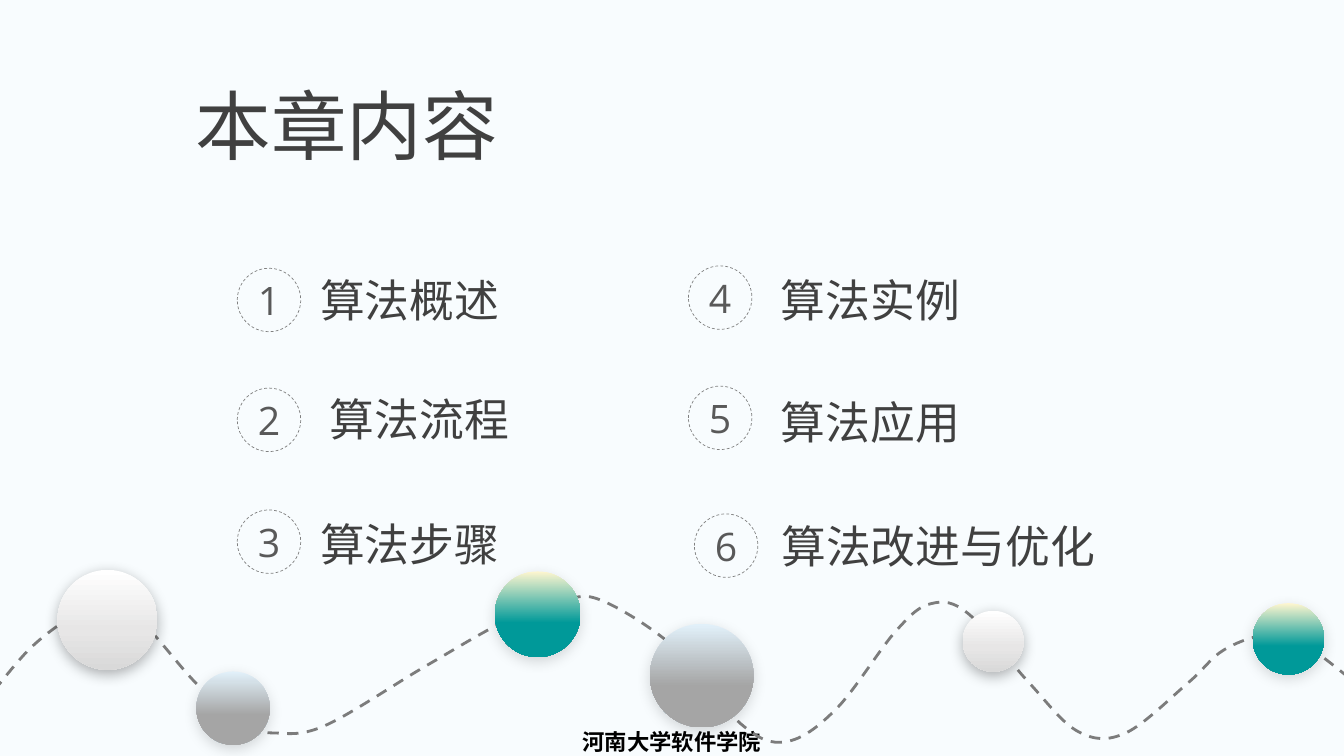
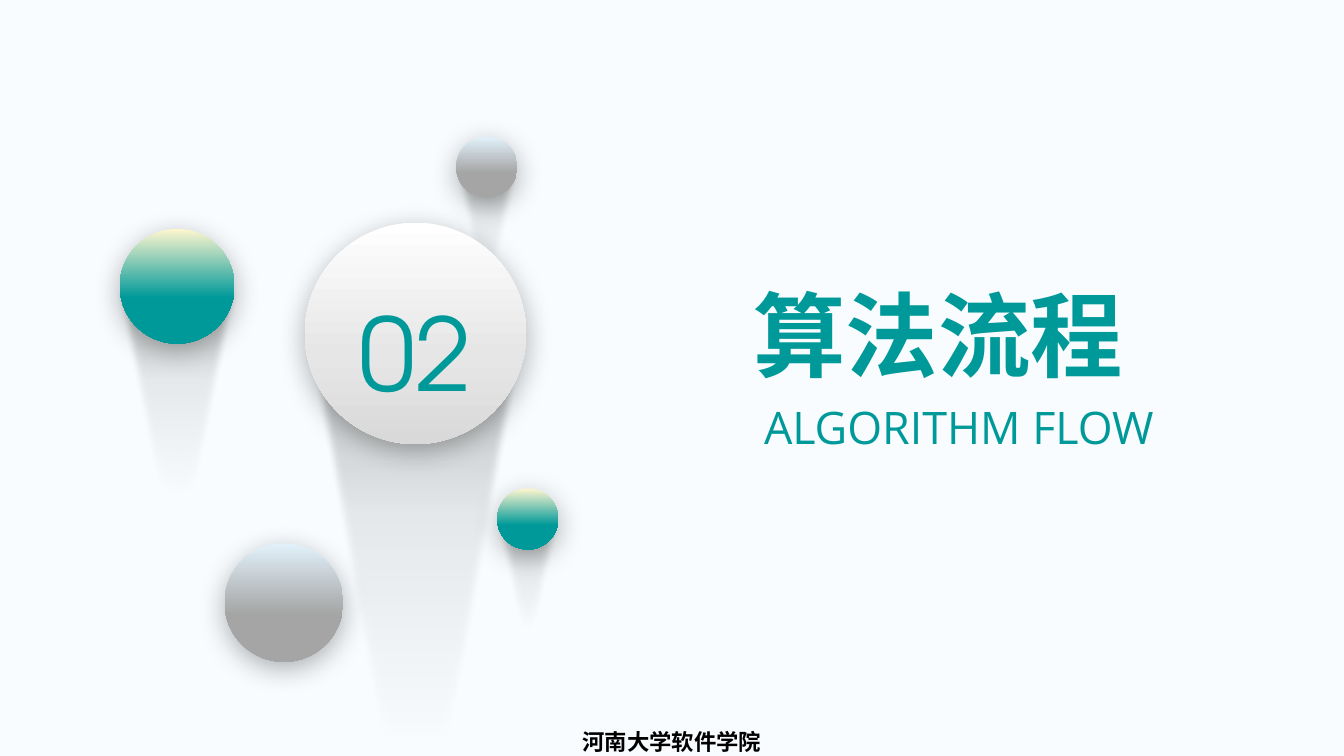
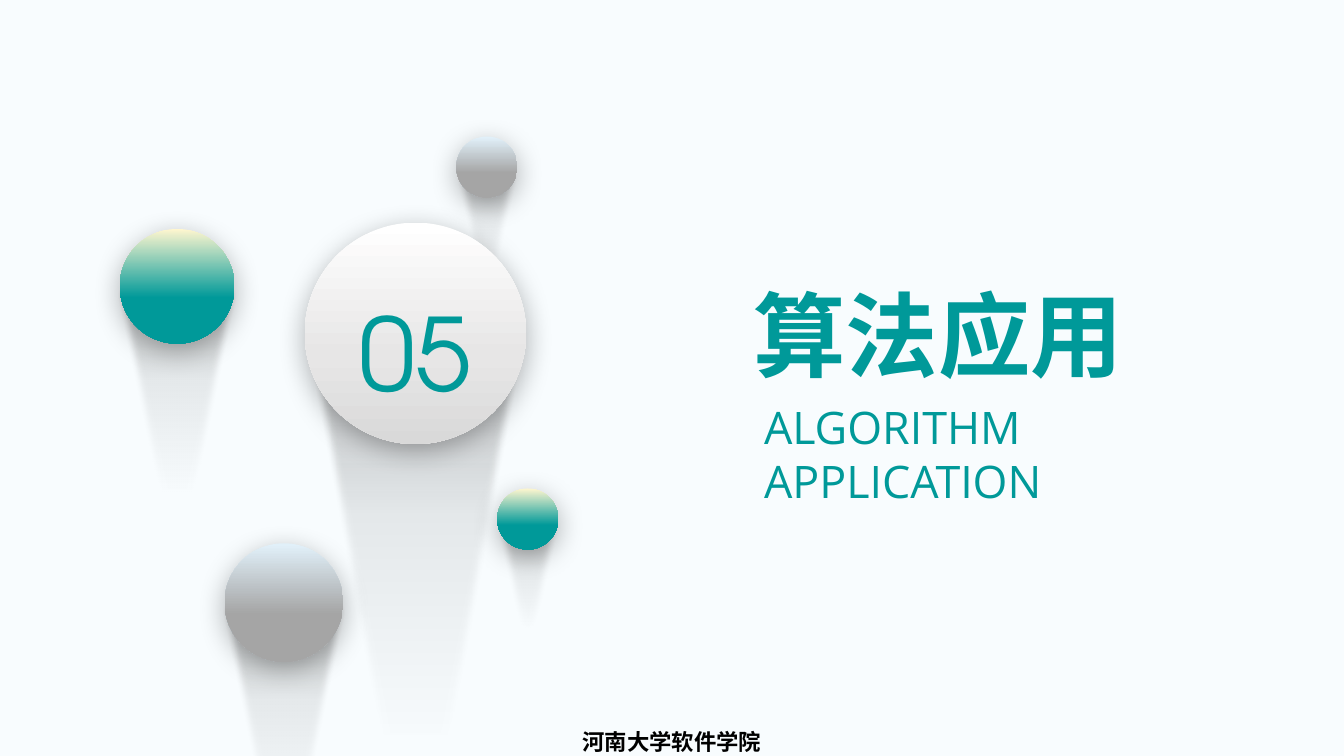
from lxml import etree
from pptx import Presentation
from pptx import util as u
from pptx.dml.color import RGBColor
from pptx.enum import dml, shapes, text
from pptx.oxml import ns

COLORS = {
    "page": "F8FCFE",
    "teal": "009999",
    "heading": "404040",
    "number": "595959",
    "ring": "808080",
    "wave": "7C7C7C",
    "black": "000000",
}
BODY_FONT = "Open Sans"
NUMBER_FONT = "TeX Gyre Adventor"
FOOTER_FONT = "DejaVu Sans"

BALL_STOPS = {
    "white": [(0, "FFFFFF", 100), (60, "E7E6E6", 100), (100, "D9D9D9", 100)],
    "gray": [(1, "E1F0F9", 100), (60, "A5A5A5", 100), (100, "A5A5A5", 100)],
    "teal": [(0, "FFF6CF", 100), (60, "009999", 100), (100, "009999", 100)],
}
TAIL_STOPS = [(30, "000000", 0), (50, "000000", 4), (70, "000000", 8), (100, "262626", 30)]
TAIL_OUTLINE = [(1, 1), (0.83, 0.67), (0.54, 0), (0.5, 0), (0.46, 0), (0.17, 0.67), (0, 1)]

WAVE_POINTS = [
    (-0.15, 17.4), (0.74, 16.36), (1.63, 15.65), (2.34, 15.29), (3.18, 15.39),
    (3.78, 15.88), (4.85, 17.12), (5.69, 17.91), (6.25, 18.29), (6.88, 18.47),
    (8.18, 18.29), (10.72, 16.79), (12.7, 15.67), (14.07, 15.19), (15.11, 15.11),
    (17.02, 16.33), (18.67, 18.24), (19.81, 18.69), (21.08, 17.86), (22.58, 15.9),
    (23.47, 15.21), (24.41, 15.47), (25.93, 17.2), (27.18, 18.44), (28.37, 18.47),
    (29.95, 17.2), (30.84, 16.38), (31.95, 16), (32.89, 16.26), (34.09, 17.15),
]
WAVE_BALLS = [
    ("white", 1.45, 14.36, 2.52, 30),
    ("gray", 4.95, 16.92, 1.85, 15),
    ("teal", 12.47, 14.4, 2.16, 15),
    ("gray", 16.38, 15.72, 2.61, 15),
    ("white", 24.26, 15.39, 1.54, 30),
    ("teal", 31.57, 15.2, 1.8, 15),
]
CHAPTERS = [
    ("算法概述", (5.98, 6.76), (7.82, 6.75), 5.08),
    ("算法流程", (5.98, 9.78), (8.06, 9.75), 5.08),
    ("算法步骤", (5.98, 12.85), (7.82, 12.9), 5.08),
    ("算法实例", (17.35, 6.7), (19.43, 6.75), 5.08),
    ("算法应用", (17.35, 9.73), (19.43, 9.82), 5.08),
    ("算法改进与优化", (17.5, 12.95), (19.44, 12.95), 8.48),
]
GRAY_BALL = (5.66, 13.69)
SECTION_BALLS = [
    ("gray", 11.5, 3.44, 1.54, (1.73, 4.22)),
    ("white", 7.68, 5.61, 5.58, (5.64, 15.09)),
    ("gray", *GRAY_BALL, 2.99, (3.32, 8.13)),
    ("teal", 12.53, 12.31, 1.54, (1.73, 4.22)),
    ("teal", 3.02, 5.77, 2.89, (3.2, 7.85)),
]


def rgb(name):
    return RGBColor.from_string(COLORS[name])


def write(shape, words, size, color, font=BODY_FONT, bold=False,
          align=text.PP_ALIGN.LEFT, anchor=text.MSO_ANCHOR.TOP, wrap=True, grow=False):
    frame = shape.text_frame
    frame.text = words
    frame.word_wrap = wrap
    frame.vertical_anchor = anchor
    if grow:
        frame.auto_size = text.MSO_AUTO_SIZE.SHAPE_TO_FIT_TEXT
    para = frame.paragraphs[0]
    para.alignment = align
    para.space_before = u.Pt(0)
    for span in para.runs:
        span.font.size = u.Pt(size)
        span.font.name = font
        span.font.bold = bold
        span.font.color.rgb = rgb(color)
        east_asian = etree.SubElement(span.font._element, ns.qn("a:ea"))
        east_asian.set("typeface", font)
    return para


def place(shape, left, top, width, height):
    shape.left, shape.top = u.Cm(left), u.Cm(top)
    shape.width, shape.height = u.Cm(width), u.Cm(height)


def fill_downward(shape, stops):
    shape.fill.gradient()
    shape.fill.gradient_angle = 270
    stop_list = shape.element.spPr.find(".//" + ns.qn("a:gsLst"))
    for stop in list(stop_list):
        stop_list.remove(stop)
    for position, color, opacity in stops:
        stop = etree.SubElement(stop_list, ns.qn("a:gs"), pos=str(position * 1000))
        tint = etree.SubElement(stop, ns.qn("a:srgbClr"), val=color)
        if opacity < 100:
            etree.SubElement(tint, ns.qn("a:alpha"), val=str(opacity * 1000))


def add_effect(shape, tag, **settings):
    shape.shadow.inherit = False
    effects = shape.element.spPr.find(ns.qn("a:effectLst"))
    return etree.SubElement(effects, ns.qn(tag), **settings)


def add_ball(page, kind, left, top, size, opacity, blur, distance):
    ball = page.shapes.add_shape(
        shapes.MSO_SHAPE.OVAL, u.Cm(left), u.Cm(top), u.Cm(size), u.Cm(size))
    fill_downward(ball, BALL_STOPS[kind])
    ball.line.fill.background()
    shadow = add_effect(ball, "a:outerShdw", blurRad=str(u.Pt(blur)),
                        dist=str(u.Pt(distance)), dir="5400000",
                        algn="t", rotWithShape="0")
    tint = etree.SubElement(shadow, ns.qn("a:srgbClr"), val=COLORS["black"])
    etree.SubElement(tint, ns.qn("a:alpha"), val=str(opacity * 1000))
    return ball


def add_curve(page, points, close):
    points = [(u.Cm(x), u.Cm(y)) for x, y in points]
    builder = page.shapes.build_freeform(*points[0])
    builder.add_line_segments(points[1:], close=close)
    curve = builder.convert_to_shape()
    curve.shadow.inherit = False
    steps = list(curve.element.spPr.iter(ns.qn("a:lnTo")))
    for index in range(0, len(points) - 1, 3):
        bend = etree.Element(ns.qn("a:cubicBezTo"))
        steps[index].addprevious(bend)
        for step in steps[index:index + 3]:
            bend.append(step[0])
            step.getparent().remove(step)
    return curve


def with_controls(points):
    padded = [points[0], *points, points[-1]]
    curve = [points[0]]
    for before, start, end, after in zip(padded, padded[1:], padded[2:], padded[3:]):
        leave = tuple(s + (e - b) / 6 for b, s, e in zip(before, start, end))
        arrive = tuple(e - (a - s) / 6 for s, e, a in zip(start, end, after))
        curve += [leave, arrive, end]
    return curve


def add_tail(page, center, top, width, height):
    points = [(center + (x - 0.5) * width, top + y * height) for x, y in TAIL_OUTLINE]
    tail = add_curve(page, points, True)
    tail.rotation = 180
    fill_downward(tail, TAIL_STOPS)
    tail.line.fill.background()
    add_effect(tail, "a:softEdge", rad=str(u.Pt(5)))


def add_wave(page):
    wave = add_curve(page, with_controls(WAVE_POINTS), False)
    wave.fill.background()
    wave.line.color.rgb = rgb("wave")
    wave.line.width = u.Pt(2)
    wave.line.dash_style = dml.MSO_LINE.DASH


def add_chapter(page, number, label, ring_at, label_at, label_width):
    ring = page.shapes.add_shape(
        shapes.MSO_SHAPE.OVAL, *map(u.Cm, ring_at), u.Cm(1.6), u.Cm(1.6))
    ring.shadow.inherit = False
    ring.fill.background()
    ring.line.color.rgb = rgb("ring")
    ring.line.width = u.Pt(0.5)
    ring.line.dash_style = dml.MSO_LINE.DASH
    ring.text_frame.margin_left = ring.text_frame.margin_right = 0
    write(ring, str(number), 28, "number",
          align=text.PP_ALIGN.CENTER, anchor=text.MSO_ANCHOR.MIDDLE)
    box = page.shapes.add_textbox(*map(u.Cm, label_at), u.Cm(label_width), u.Cm(1.63))
    write(box, label, 32, "heading", wrap=False, grow=True)


def style_master(deck, page):
    master = deck.slide_master
    master.background.fill.solid()
    master.background.fill.fore_color.rgb = rgb("page")
    footer = page.shapes.add_textbox(u.Cm(12.54), u.Cm(18.23), u.Cm(8.79), u.Cm(0.84))
    write(footer, "河南大学软件学院", 16, "black", FOOTER_FONT, True, text.PP_ALIGN.CENTER)
    footer.element.nvSpPr.cNvPr.set("id", "20")
    master.shapes.element.append(footer.element)


def bring_to_front(page, boxes):
    for box in boxes:
        page.shapes.element.append(box.element)


def add_contents(deck):
    page = deck.slides.add_slide(deck.slide_layouts[5])
    title = page.shapes.title
    place(title, 4.68, 1.85, 8.2, 2.57)
    write(title, "本章内容", 54, "heading", wrap=False, grow=True)
    add_wave(page)
    for ball in WAVE_BALLS:
        add_ball(page, *ball, blur=10, distance=3)
    bring_to_front(page, [title])
    for number, chapter in enumerate(CHAPTERS, 1):
        add_chapter(page, number, *chapter)
    return page


def add_section(deck, number, heading, subtitle, subtitle_size, gray_tail):
    page = deck.slides.add_slide(deck.slide_layouts[0])
    title, caption = page.placeholders
    place(title, 18.73, 6.87, 9.9, 3.07)
    write(title, heading, 66, "teal", bold=True,
          anchor=text.MSO_ANCHOR.BOTTOM, wrap=False, grow=True)
    place(caption, 19, 9.94, *subtitle_size)
    write(caption, subtitle, 32, "teal", grow=True)
    for kind, left, top, size, tail in SECTION_BALLS:
        if gray_tail or (left, top) != GRAY_BALL:
            add_tail(page, left + size / 2, top + size / 2, *tail)
        ball = add_ball(page, kind, left, top, size, opacity=30, blur=20, distance=5)
        if kind == "white":
            para = write(ball, number, 72, "teal", NUMBER_FONT,
                         align=text.PP_ALIGN.CENTER, anchor=text.MSO_ANCHOR.MIDDLE)
            para.line_spacing = 1.3
    bring_to_front(page, [title, caption])


def main():
    deck = Presentation()
    deck.slide_width, deck.slide_height = u.Cm(33.87), u.Cm(19.05)
    style_master(deck, add_contents(deck))
    add_section(deck, "02", "算法流程", "ALGORITHM FLOW", (11.15, 1.63), False)
    add_section(deck, "05", "算法应用", "ALGORITHM APPLICATION", (9.63, 3), True)
    deck.save("out.pptx")


if __name__ == "__main__":
    main()
